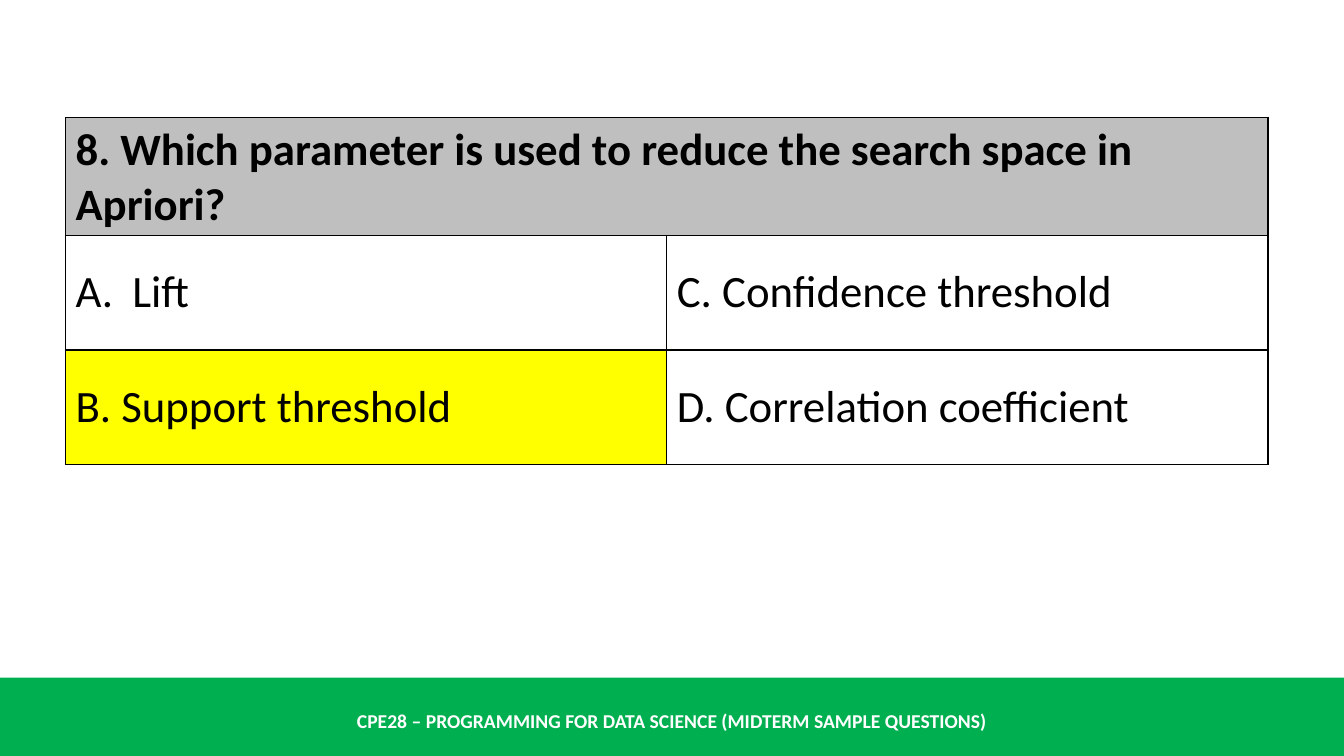
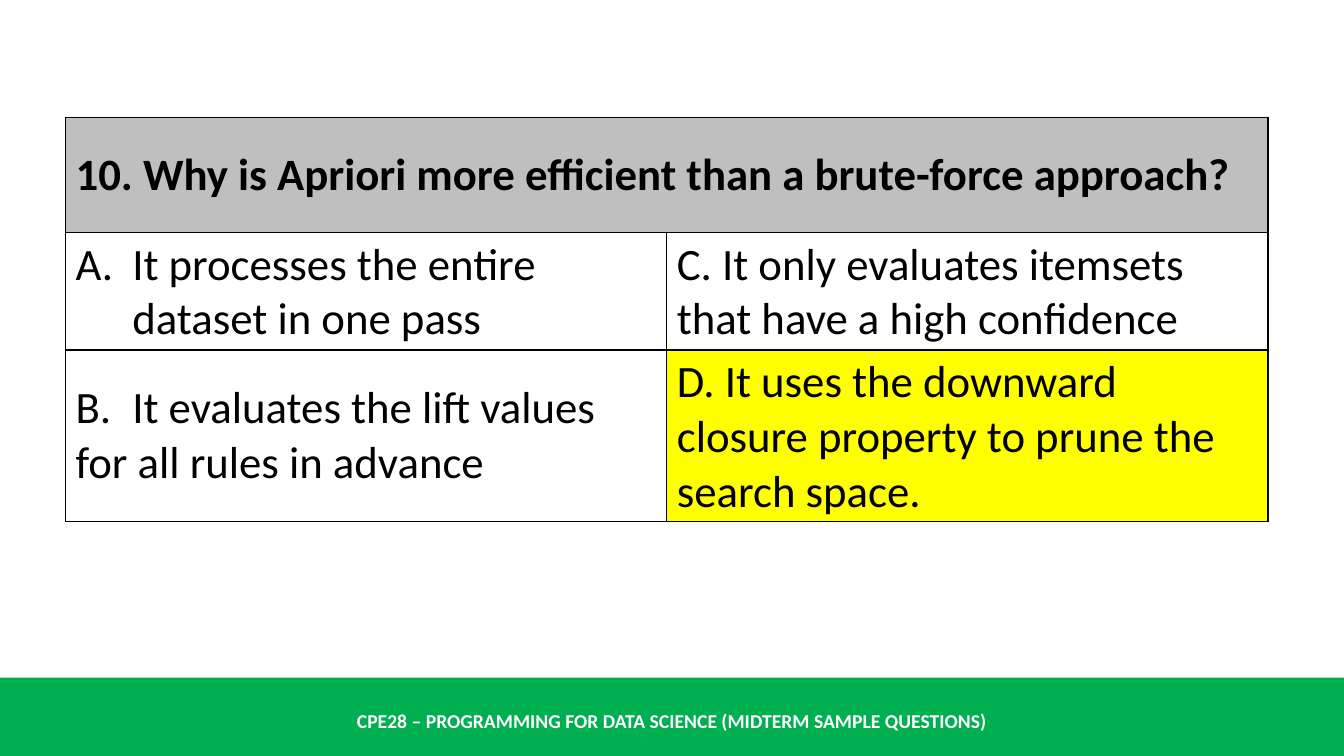
from dataclasses import dataclass

from lxml import etree
from pptx import Presentation
from pptx.dml.color import RGBColor
from pptx.enum.shapes import MSO_SHAPE
from pptx.enum.text import MSO_ANCHOR, PP_ALIGN
from pptx.oxml.ns import qn
from pptx.util import Pt

RECT = MSO_SHAPE.RECTANGLE
MIDDLE = MSO_ANCHOR.MIDDLE
CENTER = PP_ALIGN.CENTER

FONT = "Calibri"
BLACK, WHITE = "000000", "FFFFFF"
GREEN, GREY, YELLOW = "00B050", "BFBFBF", "FFFF00"

SLIDE_W, SLIDE_H = 960, 540
BAND_TOP = 484
FOOTER = "CPE28 – PROGRAMMING FOR DATA SCIENCE (MIDTERM SAMPLE QUESTIONS)"
TABLE_LEFT, TABLE_TOP = 46.8, 84
COL_W, ROW_H = 429.5, 82
INDENT = 40.5


@dataclass
class Question:
    text: str
    options: dict[str, str]
    correct: str


QUESTIONS = [
    Question(
        "8. Which parameter is used to reduce the search space in Apriori?",
        {
            "A": "Lift",
            "B": "B. Support threshold",
            "C": "C. Confidence threshold",
            "D": "D. Correlation coefficient",
        },
        "B",
    ),
    Question(
        "10. Why is Apriori more efficient than a brute-force approach?",
        {
            "A": "It processes the entire dataset in one pass",
            "B": "B.\tIt evaluates the lift values for all rules in advance",
            "C": "C. It only evaluates itemsets that have a high confidence",
            "D": "D. It uses the downward closure property to prune the search space.",
        },
        "D",
    ),
]
OPTION_CELLS = {"A": (1, 0), "B": (2, 0), "C": (1, 1), "D": (2, 1)}


def rgb(value: str) -> RGBColor:
    return RGBColor.from_string(value)


def style_runs(p, size: float, color: str, bold: bool) -> None:
    for r in p.runs:
        r.font.name = FONT
        r.font.size = Pt(size)
        r.font.bold = bold
        r.font.color.rgb = rgb(color)


def add_footer(s) -> None:
    band = s.shapes.add_shape(RECT, 0, Pt(BAND_TOP), Pt(SLIDE_W), Pt(SLIDE_H - BAND_TOP))
    band.shadow.inherit = False
    band.fill.solid()
    band.fill.fore_color.rgb = rgb(GREEN)
    band.line.fill.background()

    label = s.shapes.add_textbox(0, Pt(500.5), Pt(SLIDE_W), Pt(29))
    tf = label.text_frame
    tf.word_wrap = True
    tf.vertical_anchor = MIDDLE
    p = tf.paragraphs[0]
    p.text = FOOTER
    p.alignment = CENTER
    style_runs(p, 14, WHITE, True)


def add_borders(cell) -> None:
    tc_pr = cell._tc.get_or_add_tcPr()
    for i, side in enumerate(("lnL", "lnR", "lnT", "lnB")):
        ln = etree.Element(qn(f"a:{side}"), w=str(Pt(1)))
        fill = etree.SubElement(ln, qn("a:solidFill"))
        etree.SubElement(fill, qn("a:srgbClr"), val=BLACK)
        tc_pr.insert(i, ln)


def add_letter_bullet(p) -> None:
    """Number the paragraph "A." with a hanging indent."""
    p_pr = p._p.get_or_add_pPr()
    p_pr.set("marL", str(Pt(INDENT)))
    p_pr.set("indent", str(Pt(-INDENT)))
    etree.SubElement(p_pr, qn("a:buFont"), typeface="+mj-lt")
    etree.SubElement(p_pr, qn("a:buAutoNum"), type="alphaUcPeriod")


def add_tab_stop(p) -> None:
    tabs = etree.SubElement(p._p.get_or_add_pPr(), qn("a:tabLst"))
    etree.SubElement(tabs, qn("a:tab"), pos=str(Pt(INDENT)), algn="l")


def fill_cell(cell, text: str, fill: str, bold: bool = False):
    cell.fill.solid()
    cell.fill.fore_color.rgb = rgb(fill)
    cell.vertical_anchor = MIDDLE
    p = cell.text_frame.paragraphs[0]
    p.text = text
    style_runs(p, 32, BLACK, bold)
    return p


def add_question(s, question: Question) -> None:
    frame = s.shapes.add_table(
        3, 2, Pt(TABLE_LEFT), Pt(TABLE_TOP), Pt(2 * COL_W), Pt(3 * ROW_H)
    )
    table = frame.table
    table.first_row = False
    table.horz_banding = False
    for col in table.columns:
        col.width = Pt(COL_W)
    for row in table.rows:
        row.height = Pt(ROW_H)

    table.cell(0, 0).merge(table.cell(0, 1))
    fill_cell(table.cell(0, 0), question.text, GREY, bold=True)
    for letter, text in question.options.items():
        fill = YELLOW if letter == question.correct else WHITE
        p = fill_cell(table.cell(*OPTION_CELLS[letter]), text, fill)
        if letter == "A":
            add_letter_bullet(p)
        if "\t" in text:
            add_tab_stop(p)
    for cell in table.iter_cells():
        add_borders(cell)


def main() -> None:
    prs = Presentation()
    prs.slide_width, prs.slide_height = Pt(SLIDE_W), Pt(SLIDE_H)
    for question in QUESTIONS:
        s = prs.slides.add_slide(prs.slide_layouts[6])
        add_footer(s)
        add_question(s, question)
    prs.save("out.pptx")


if __name__ == "__main__":
    main()
